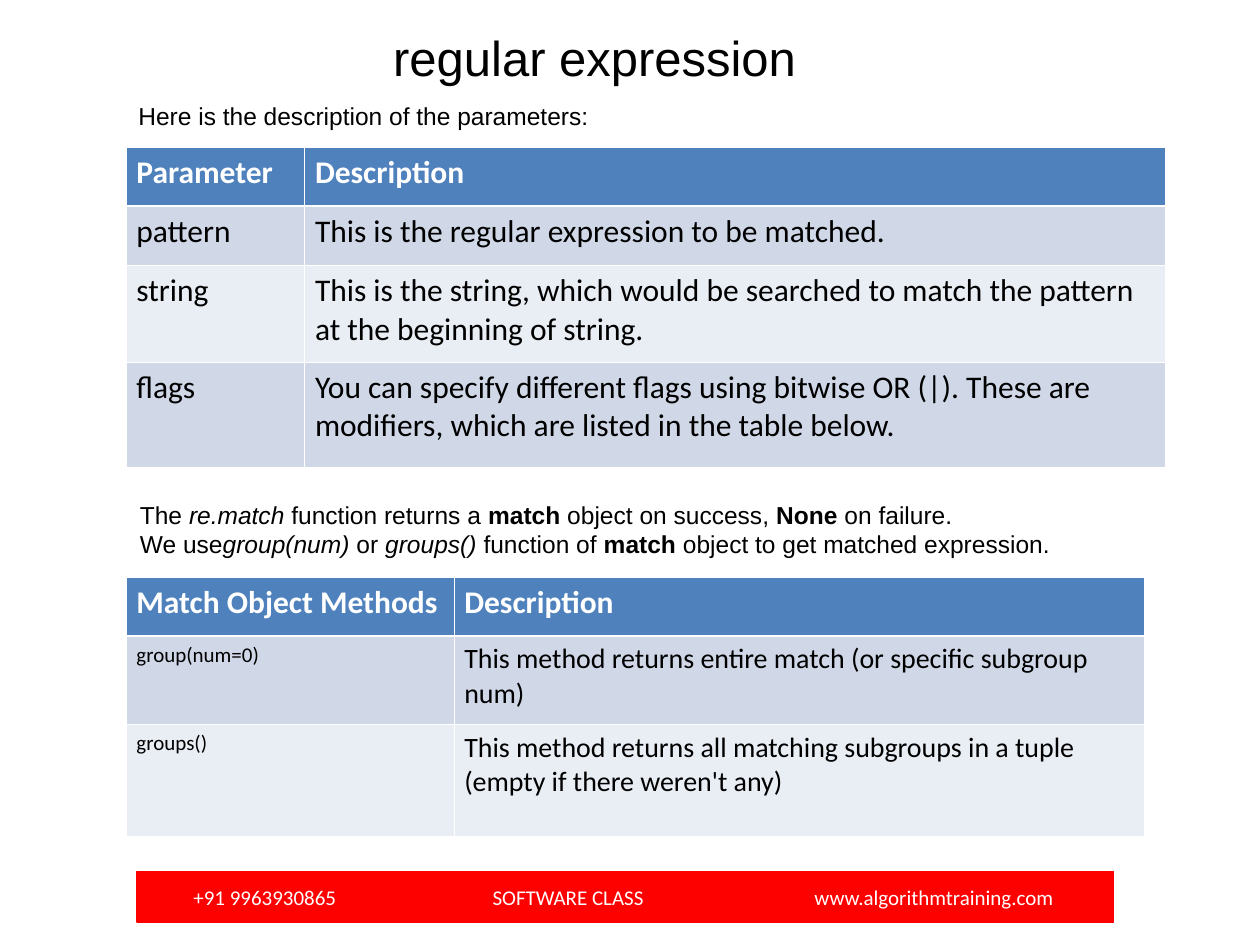
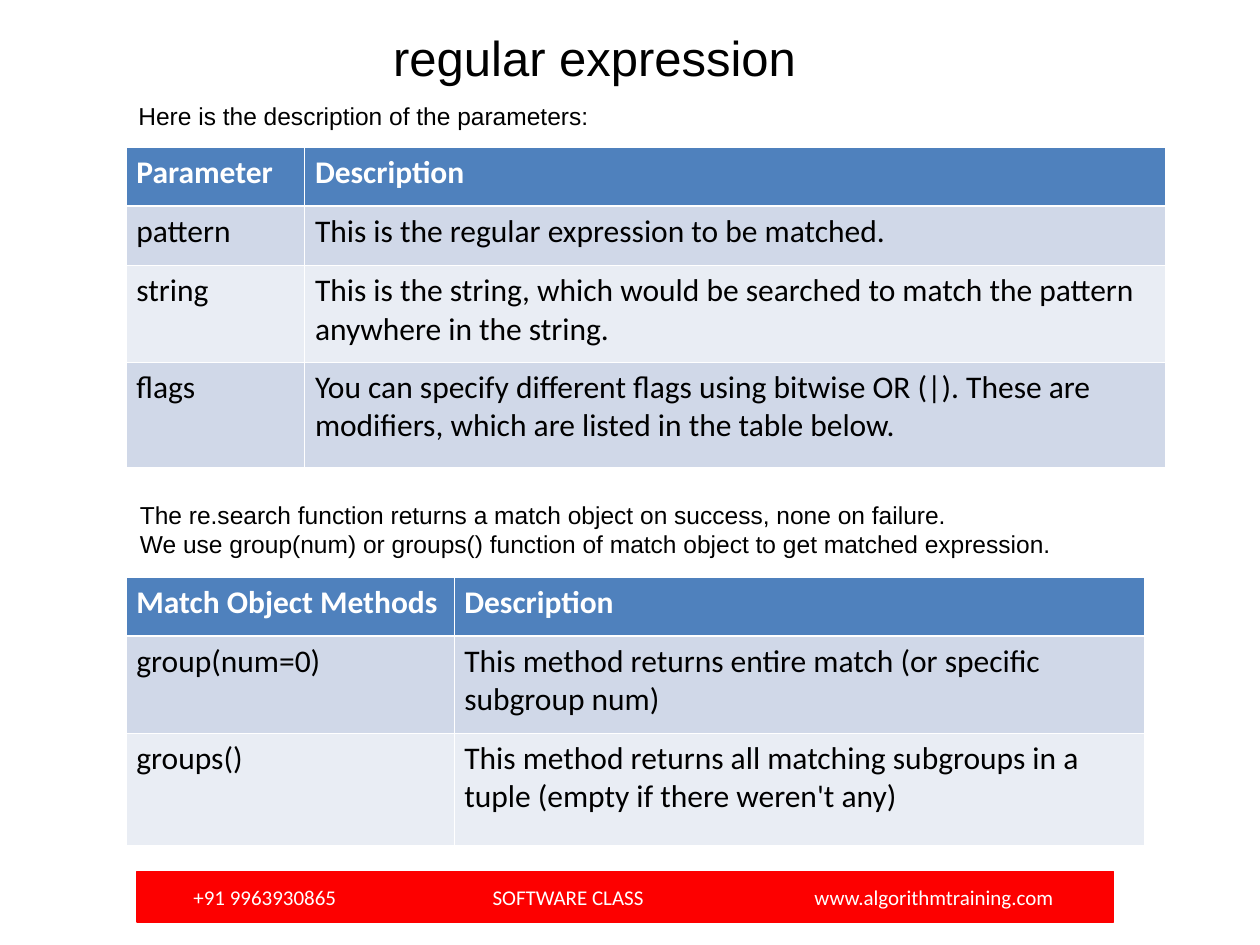
from lxml import etree
from pptx import Presentation
from pptx.dml.color import RGBColor
from pptx.enum.shapes import MSO_SHAPE
from pptx.enum.text import MSO_ANCHOR, PP_ALIGN
from pptx.oxml.ns import qn
from pptx.util import Cm, Pt

RECT = MSO_SHAPE.RECTANGLE
MIDDLE = MSO_ANCHOR.MIDDLE
LEFT = PP_ALIGN.LEFT
CENTER = PP_ALIGN.CENTER

BLACK, WHITE, RED = "000000", "FFFFFF", "FD0000"
HEAD, BANDS = "4F81BD", ("D0D8E8", "E9EDF4")
THIN, THICK = Pt(0.45), Pt(1.47)

TITLE = {"name": "Arial", "size": Pt(28), "color": BLACK}
PROSE = {"name": "Arial", "size": Pt(14), "color": BLACK}
FOOT = {"name": "Calibri", "size": Pt(12), "color": WHITE}
TOP = {"name": "Calibri", "size": Pt(18), "color": WHITE, "bold": True}
BODY = {"name": "Calibri", "size": Pt(18), "color": BLACK, "bold": False}
ITALIC, BOLD = {"italic": True}, {"bold": True}

CONTACT = ("+91 9963930865", "SOFTWARE CLASS", "www.algorithmtraining.com")
STOPS = (6.03, 12.52)


def rgb(code):
    return RGBColor.from_string(code)


def style(font, form):
    for key, value in form.items():
        if key == "color":
            font.color.rgb = rgb(value)
        else:
            setattr(font, key, value)


class Deck:
    def __init__(self):
        self.prs = Presentation()
        self.prs.slide_width, self.prs.slide_height = Cm(25.4), Cm(19.05)
        self.slide = None

    def page(self):
        self.slide = self.prs.slides.add_slide(self.prs.slide_layouts[6])

    def text(self, place, lines, form, align=LEFT):
        box = self.slide.shapes.add_textbox(*map(Cm, place))
        frame = box.text_frame
        frame.word_wrap = True
        for i, line in enumerate(lines):
            para = frame.add_paragraph() if i else frame.paragraphs[0]
            para.alignment = align
            for part, extra in line:
                run = para.add_run()
                run.text = part
                style(run.font, form | extra)

    def footer(self, place, parts, stops):
        bar = self.slide.shapes.add_shape(RECT, *map(Cm, place))
        bar.shadow.inherit = False
        bar.fill.solid()
        bar.fill.fore_color.rgb = rgb(RED)
        bar.line.color.rgb = rgb(RED)
        bar.line.width = Pt(0.75)
        frame = bar.text_frame
        frame.margin_left = Cm(1.14)
        frame.vertical_anchor = MIDDLE
        para = frame.paragraphs[0]
        para.alignment = LEFT
        tabs = etree.SubElement(para._p.get_or_add_pPr(), qn("a:tabLst"))
        for stop in stops:
            etree.SubElement(tabs, qn("a:tab"), pos=str(Cm(stop)), algn="l")
        run = para.add_run()
        run.text = "\t".join(parts)
        style(run.font, FOOT)

    def border(self, cell, side, width):
        line = etree.SubElement(cell._tc.get_or_add_tcPr(), qn(f"a:ln{side}"), w=str(width))
        fill = etree.SubElement(line, qn("a:solidFill"))
        etree.SubElement(fill, qn("a:srgbClr"), val=WHITE)

    def table(self, left, top, wides, highs, rows, sizes):
        frame = self.slide.shapes.add_table(
            len(rows), len(wides), Cm(left), Cm(top), Cm(sum(wides)), Cm(sum(highs)))
        grid = frame.table
        for col, wide in zip(grid.columns, wides):
            col.width = Cm(wide)
        for r, (row, high) in enumerate(zip(rows, highs)):
            grid.rows[r].height = Cm(high)
            for c, words in enumerate(row):
                cell = grid.cell(r, c)
                cell.margin_left = cell.margin_right = Cm(0.21)
                for side in "LRTB":
                    thick = (r, side) in ((0, "B"), (1, "T"))
                    self.border(cell, side, THICK if thick else THIN)
                cell.fill.solid()
                cell.fill.fore_color.rgb = rgb(BANDS[(r - 1) % 2] if r else HEAD)
                run = cell.text_frame.paragraphs[0].add_run()
                run.text = words
                style(run.font, BODY | {"size": Pt(sizes[c])} if r else TOP)

    def lesson(self, scope, notes, high, sizes):
        self.page()
        self.text((2.54, 1.91, 20.75, 2.03),
                  [[("Here is the description of the parameters:", {})]], PROSE)
        self.text((2.46, 0.43, 19.05, 1.45), [[("regular expression", {})]], TITLE, CENTER)
        self.footer((2.76, 17.57, 19.69, 1.02), CONTACT, STOPS)
        self.table(2.54, 2.97, (3.6, 17.36), (1.19, 1.19, 1.95, 2.13), [
            ("Parameter", "Description"),
            ("pattern", "This is the regular expression to be matched."),
            ("string", "This is the string, which would be searched to match "
                       f"the pattern {scope}"),
            ("flags", "You can specify different flags using bitwise OR (|). "
                      "These are modifiers, which are listed in the table below."),
        ], (18, 18))
        self.text((2.57, 9.95, 19.8, 1.45), notes, PROSE)
        self.table(2.54, 11.63, (6.61, 13.91), (1.19, high, 2.26), [
            ("Match Object Methods", "Description"),
            ("group(num=0)", "This method returns entire match (or specific subgroup num)"),
            ("groups()", "This method returns all matching subgroups in a tuple "
                         "(empty if there weren't any)"),
        ], sizes)


MATCH = [
    [("The ", {}), ("re.match", ITALIC), (" function returns a ", {}), ("match", BOLD),
     (" object on success, ", {}), ("None", BOLD), (" on failure.", {})],
    [("We use", {}), ("group(num)", ITALIC), (" or ", {}), ("groups() ", ITALIC),
     ("function of ", {}), ("match", BOLD), (" object to get matched expression.", {})],
]
SEARCH = [
    [("The re.search function returns a match object on success, none on failure.", {})],
    [("We use group(num) or groups() function of match object to get matched expression.", {})],
]


def main():
    deck = Deck()
    deck.lesson("at the beginning of string.", MATCH, 1.78, (12, 16))
    deck.lesson("anywhere in the string.", SEARCH, 1.96, (18, 18))
    deck.prs.save("out.pptx")


if __name__ == "__main__":
    main()
